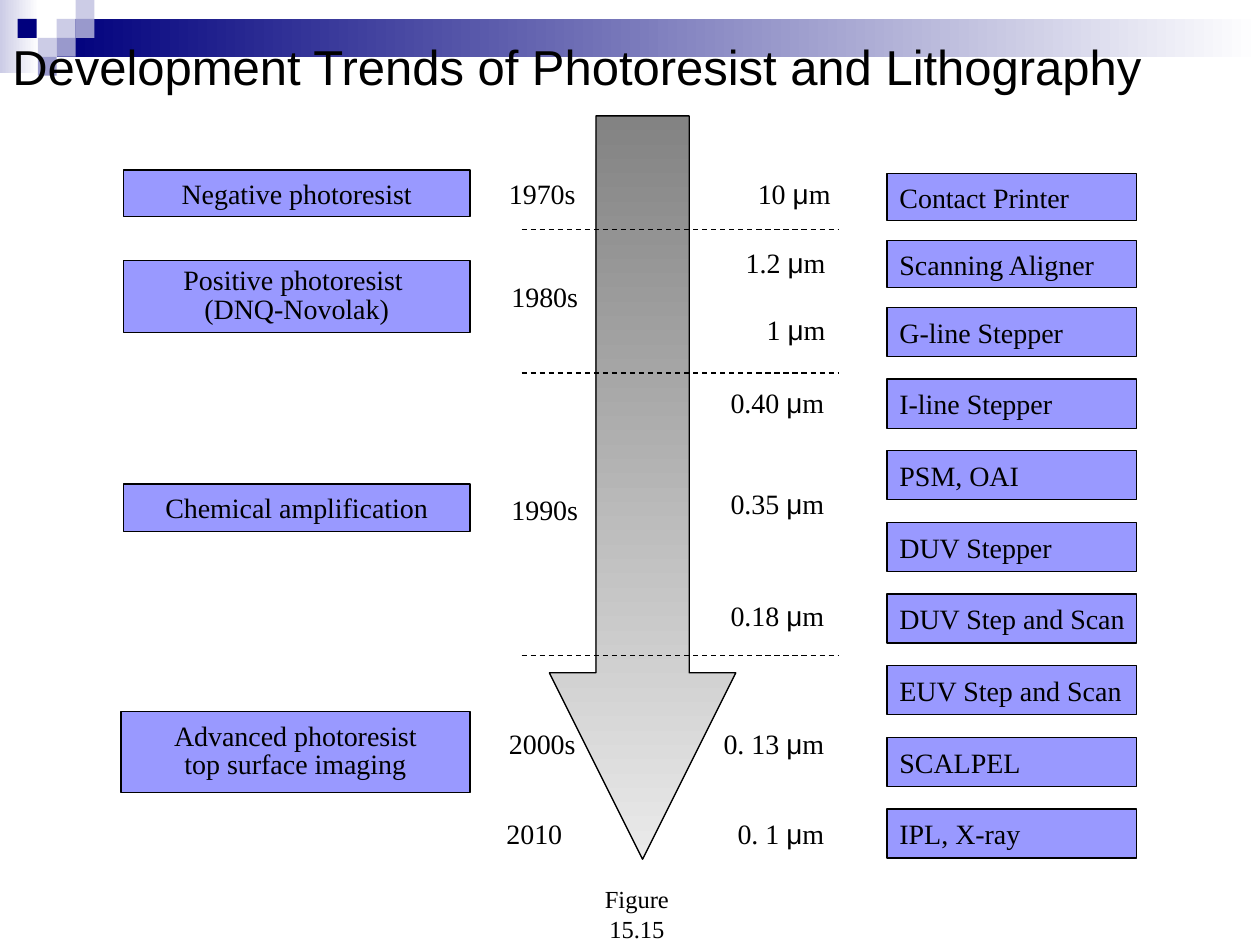
from pptx import Presentation
from pptx.dml.color import RGBColor
from pptx.enum.dml import MSO_LINE
from pptx.enum.shapes import MSO_CONNECTOR, MSO_SHAPE
from pptx.enum.text import MSO_ANCHOR, PP_ALIGN
from pptx.oxml.ns import qn
from pptx.util import Inches, Pt
from lxml import etree

BLACK = RGBColor(0x00, 0x00, 0x00)
WHITE = RGBColor(0xFF, 0xFF, 0xFF)
NAVY = RGBColor(0x00, 0x00, 0x7D)
PALE = RGBColor(0xCC, 0xCC, 0xE6)
MID = RGBColor(0x99, 0x99, 0xCC)
BOX = RGBColor(0x99, 0x99, 0xFF)
DARK_GRAY = RGBColor(0x83, 0x83, 0x83)
LIGHT_GRAY = RGBColor(0xEA, 0xEA, 0xEA)
SERIF = "Times New Roman"

prs = Presentation()
prs.slide_width, prs.slide_height = Inches(10), Inches(7.5)
s = prs.slides.add_slide(prs.slide_layouts[6])


def add_shape(kind, x, y, w, h, colors, angle=0, outlined=False):
    sp = s.shapes.add_shape(kind, Inches(x), Inches(y), Inches(w), Inches(h))
    sp.shadow.inherit = False
    if len(colors) == 1:
        sp.fill.solid()
        sp.fill.fore_color.rgb = colors[0]
    else:
        sp.fill.gradient()
        sp.fill.gradient_angle = angle
        for stop, color in zip(sp.fill.gradient_stops, colors):
            stop.color.rgb = color
    if outlined:
        sp.line.color.rgb = BLACK
        sp.line.width = Pt(0.75)
    else:
        sp.line.fill.background()
    return sp


def add_text(sp, text, align=PP_ALIGN.LEFT, size=16, font=SERIF, anchor=MSO_ANCHOR.MIDDLE):
    tf = sp.text_frame
    tf.word_wrap = False
    tf.vertical_anchor = anchor
    tf.text = text
    for p in tf.paragraphs:
        p.alignment = align
        if len(tf.paragraphs) > 1:
            p.line_spacing = 0.85
        if p.text.endswith("μm"):
            p.text = p.text.removesuffix("μm")
            for part in "μm":
                p.add_run().text = part
        for r in p.runs:
            r.font.size = Pt(size)
            r.font.name = "Arial" if r.text == "μ" else font
            r.font.color.rgb = BLACK


add_shape(MSO_SHAPE.RECTANGLE, 0, 0, 0.31, 0.58, [PALE, WHITE])
add_shape(MSO_SHAPE.RECTANGLE, 0.45, 0.15, 9.55, 0.3, [NAVY, WHITE])
for x, y, color in [
    (0.45, 0.15, PALE), (0.6, 0, PALE), (0.6, 0.15, MID), (0.3, 0.3, PALE),
    (0.14, 0.15, NAVY), (0.45, 0.3, MID), (0.3, 0.45, MID),
]:
    add_shape(MSO_SHAPE.RECTANGLE, x, y, 0.15, 0.15, [color])

title = s.shapes.add_textbox(Inches(0), Inches(0.06), Inches(10), Inches(0.92))
add_text(title, "Development Trends of Photoresist and Lithography", size=28, font="Arial")

for x, y, w, h, text in [
    (0.98, 1.35, 2.75, 0.37, "Negative photoresist"),
    (0.98, 2.07, 2.75, 0.57, "Positive photoresist \n(DNQ-Novolak)"),
    (0.98, 3.84, 2.75, 0.38, "Chemical amplification"),
    (0.96, 5.65, 2.77, 0.64, "Advanced photoresist\ntop surface imaging"),
]:
    resist = add_shape(MSO_SHAPE.RECTANGLE, x, y, w, h, [BOX], outlined=True)
    add_text(resist, text, PP_ALIGN.CENTER)

tools = [
    "Contact Printer", "Scanning Aligner", "G-line Stepper", "I-line Stepper", "PSM, OAI",
    "DUV Stepper", "DUV Step and Scan", "EUV Step and Scan", "SCALPEL", "IPL, X-ray",
]
for i, text in enumerate(tools):
    y, h = (1.38 + 0.53 * i, 0.37) if i < 2 else (2.44 + 3.98 / 7 * (i - 2), 0.39)
    tool = add_shape(MSO_SHAPE.RECTANGLE, 7.04, y, 1.98, h, [BOX], outlined=True)
    add_text(tool, text)

arrow = add_shape(MSO_SHAPE.DOWN_ARROW, 4.36, 0.92, 1.48, 5.9,
                  [DARK_GRAY, LIGHT_GRAY], angle=270, outlined=True)
arrow.adjustments[0] = 0.5
arrow.adjustments[1] = 1

for y in (1.82, 2.96, 5.2):
    divider = s.shapes.add_connector(MSO_CONNECTOR.STRAIGHT, Inches(4.14), Inches(y),
                                     Inches(6.65), Inches(y))
    divider.line.color.rgb = BLACK
    divider.line.width = Pt(0.75)
    divider.line.dash_style = MSO_LINE.DASH
    etree.SubElement(divider._element.spPr, qn("a:effectLst"))

for x, y, text in [
    (3.94, 1.35, "1970s"), (3.96, 2.17, "1980s"), (3.96, 3.86, "1990s"),
    (3.94, 5.72, "2000s"), (3.92, 6.43, "2010"),
]:
    year = s.shapes.add_textbox(Inches(x), Inches(y), Inches(0.78), Inches(0.37))
    add_text(year, text, anchor=MSO_ANCHOR.TOP)

for right, y, text in [
    (6.69, 1.35, "10 μm"), (6.65, 1.9, "1.2 μm"), (6.65, 2.43, "1 μm"), (6.64, 3.01, "0.40 μm"),
    (6.64, 3.81, "0.35 μm"), (6.64, 4.7, "0.18 μm"), (6.64, 5.72, "0. 13 μm"), (6.64, 6.43, "0. 1 μm"),
]:
    width = s.shapes.add_textbox(Inches(right - 1), Inches(y), Inches(1), Inches(0.37))
    add_text(width, text, PP_ALIGN.RIGHT, anchor=MSO_ANCHOR.TOP)

caption = s.shapes.add_textbox(Inches(4.46), Inches(6.97), Inches(1.19), Inches(0.34))
add_text(caption, "Figure 15.15", PP_ALIGN.CENTER, size=14, anchor=MSO_ANCHOR.TOP)

prs.save("out.pptx")
